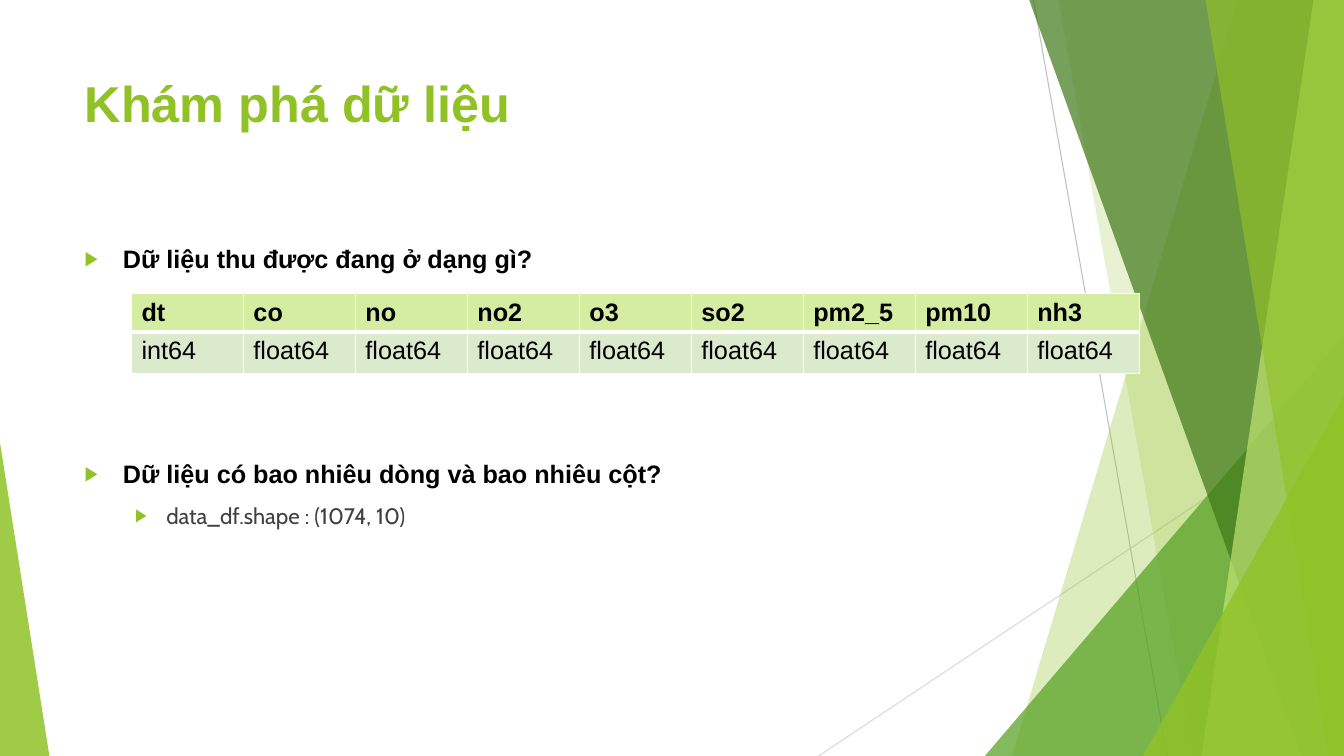
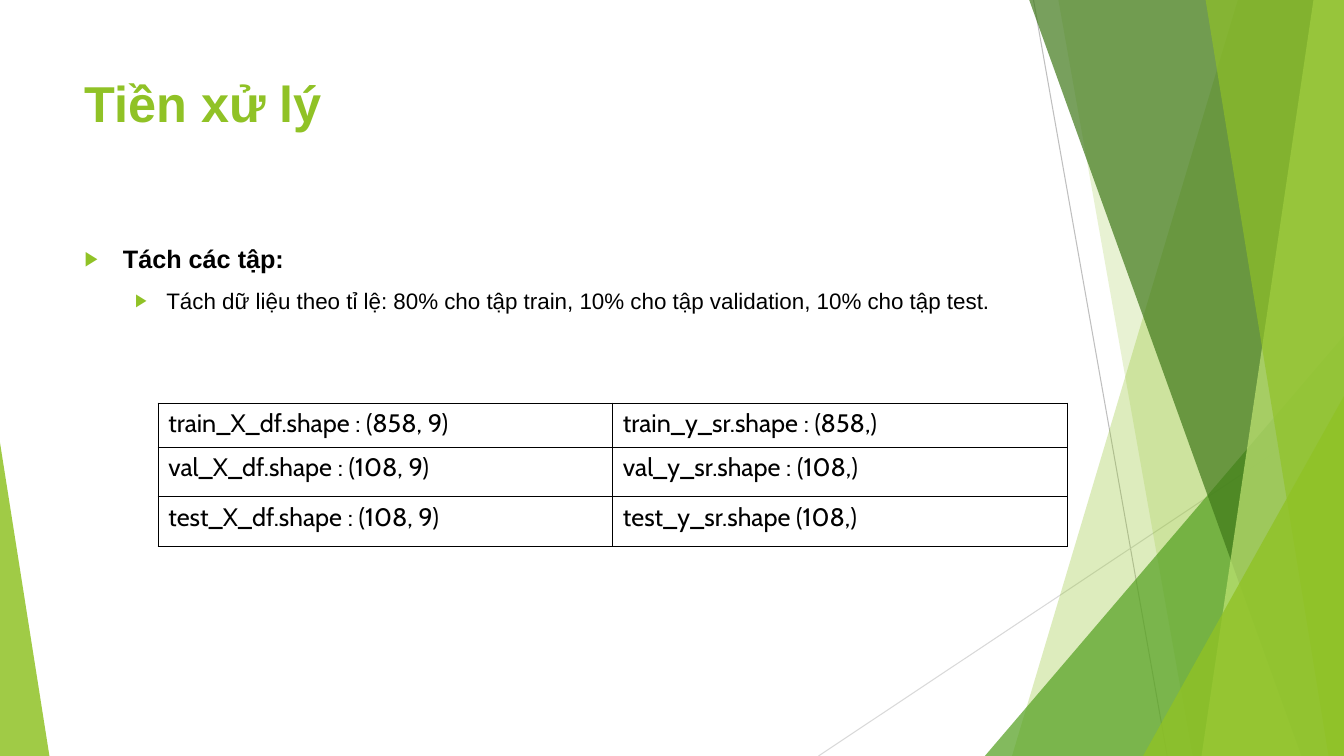
import dataclasses

import lxml.etree
import pptx
import pptx.dml.color
import pptx.enum.shapes
import pptx.enum.text
import pptx.oxml
import pptx.oxml.ns
import pptx.util

RGBColor = pptx.dml.color.RGBColor
Pt = pptx.util.Pt
Inches = pptx.util.Inches
qn = pptx.oxml.ns.qn

LIME = RGBColor(0x90, 0xC2, 0x26)
PALE_LIME = RGBColor(0xC0, 0xE4, 0x74)
GREEN = RGBColor(0x54, 0xA0, 0x21)
DARK_GREEN = RGBColor(0x3F, 0x78, 0x19)
HEADER_GREEN = RGBColor(0xD5, 0xED, 0xA2)
ROW_GREEN = RGBColor(0xDB, 0xE9, 0xCD)
SILVER = RGBColor(0xBF, 0xBF, 0xBF)
LIGHT_SILVER = RGBColor(0xD9, 0xD9, 0xD9)
CHARCOAL = RGBColor(0x40, 0x40, 0x40)
BLACK = RGBColor(0, 0, 0)
WHITE = RGBColor(0xFF, 0xFF, 0xFF)

HEADING_FONT = "Arial"
CODE_FONT = "Cabin"


@dataclasses.dataclass
class Box:
    left: int
    top: int
    width: int
    height: int

    def point(self, x, y):
        return (round(self.left + self.width * x / 100),
                round(self.top + self.height * y / 100))

    def area(self, left, top, width, height):
        return Box(*self.point(left, top),
                   round(self.width * width / 100),
                   round(self.height * height / 100))

    def edges(self):
        return self.left, self.top, self.width, self.height


def write(paragraph, text, size=18, font=HEADING_FONT, color=BLACK, bold=False):
    run = paragraph.add_run()
    run.text = text
    run.font.size = Pt(size)
    run.font.name = font
    run.font.color.rgb = color
    run.font.bold = bold


def add_child(parent, tag, **attributes):
    child = lxml.etree.SubElement(parent, qn(tag))
    for key, value in attributes.items():
        child.set(key, str(value))
    return child


def tint(shape, color, opacity):
    shape.shadow.inherit = False
    shape.fill.solid()
    shape.fill.fore_color.rgb = color
    shape.line.fill.background()
    add_child(shape.element.xpath(".//a:srgbClr")[0], "a:alpha", val=opacity * 1000)


def draw_ray(shapes, box, start, end, color):
    ray = shapes.add_connector(pptx.enum.shapes.MSO_CONNECTOR.STRAIGHT,
                               *box.point(*start), *box.point(*end))
    ray.line.color.rgb = color
    ray.line.width = Pt(0.75)
    add_child(ray.element.spPr, "a:effectLst")


def draw_band(shapes, box, top_x, bottom_x, color, opacity):
    corners = [box.point(*corner) for corner in
               ((top_x, 0), (100, 0), (100, 100), (bottom_x, 100))]
    outline = shapes.build_freeform(*corners[0], scale=1.0)
    outline.add_line_segments(corners[1:], close=True)
    tint(outline.convert_to_shape(), color, opacity)


def draw_peak(shapes, box, left, top, width, apex, color, opacity):
    peak = shapes.add_shape(pptx.enum.shapes.MSO_SHAPE.ISOSCELES_TRIANGLE,
                            *box.area(left, top, width, 100 - top).edges())
    peak.adjustments[0] = apex
    tint(peak, color, opacity)


def draw_facets(slide, box):
    shapes = slide.shapes
    content = {shape.shape_id for shape in shapes}
    draw_ray(shapes, box, (76.9, 0), (86.85, 100), SILVER)
    draw_ray(shapes, box, (100, 53.73), (60.9, 100), LIGHT_SILVER)
    draw_band(shapes, box, 92.1, 75.3, LIME, 30)
    draw_band(shapes, box, 78.75, 88.73, LIME, 20)
    draw_peak(shapes, box, 73.28, 44.4, 26.72, 1, GREEN, 72)
    draw_band(shapes, box, 76.58, 96.83, DARK_GREEN, 70)
    draw_band(shapes, box, 97.73, 89.4, PALE_LIME, 70)
    draw_band(shapes, box, 89.7, 98.85, LIME, 65)
    draw_peak(shapes, box, 85.05, 52.4, 14.95, 1, LIME, 80)
    draw_peak(shapes, box, 0, 58.53, 3.68, 0, LIME, 85)
    facets = [shape for shape in shapes if shape.shape_id not in content]
    layout_tree = slide.slide_layout.shapes.element
    for number, facet in enumerate(facets, 100):
        facet.element.xpath(".//p:cNvPr")[0].set("id", str(number))
        layout_tree.append(facet.element)


def fit(placeholder, box):
    placeholder.left, placeholder.top, placeholder.width, placeholder.height = box.edges()
    frame = placeholder.text_frame
    frame.auto_size = pptx.enum.text.MSO_AUTO_SIZE.NONE
    frame.vertical_anchor = pptx.enum.text.MSO_ANCHOR.TOP
    frame.word_wrap = True
    return frame


def add_title(slide, box, text):
    heading = fit(slide.shapes.title, box).paragraphs[0]
    heading.alignment = pptx.enum.text.PP_ALIGN.LEFT
    write(heading, text, size=36, color=LIME, bold=True)


def add_bullets(slide, box, bullets):
    frame = fit(slide.placeholders[1], box)
    for index, (level, gap, text, style) in enumerate(bullets):
        bullet = frame.add_paragraph() if index else frame.paragraphs[0]
        bullet.level = level
        bullet.space_before = Pt(gap)
        margin, hanging = ((0.38, 0.38), (0.81, 0.31))[level]
        properties = bullet._p.get_or_add_pPr()
        properties.set("marL", str(Inches(margin)))
        properties.set("indent", str(-Inches(hanging)))
        add_child(add_child(properties, "a:buClr"), "a:srgbClr", val=LIME)
        add_child(properties, "a:buSzPct", val=80000)
        add_child(properties, "a:buFont", typeface=HEADING_FONT)
        add_child(properties, "a:buChar", char="▶")
        write(bullet, text, **style)


def set_borders(cell, color, top, bottom):
    properties = cell._tc.get_or_add_tcPr()
    widths = {"a:lnL": 1, "a:lnR": 1, "a:lnT": top, "a:lnB": bottom}
    for index, (tag, width) in enumerate(widths.items()):
        border = add_child(properties, tag, w=Pt(width))
        add_child(add_child(border, "a:solidFill"), "a:srgbClr", val=color)
        properties.insert(index, border)


def add_grid(slide, box, rows, row_shares, fills, border, font, header=False):
    table = slide.shapes.add_table(len(rows), len(rows[0]), *box.edges()).table
    table.first_row = header
    table.horz_banding = False
    for column in table.columns:
        column.width = box.width // len(rows[0])
    for index, (values, share, fill) in enumerate(zip(rows, row_shares, fills)):
        heading = header and index == 0
        below_heading = header and index == 1
        table.rows[index].height = round(box.height * share / sum(row_shares))
        for cell, value in zip(table.rows[index].cells, values):
            cell.fill.solid()
            cell.fill.fore_color.rgb = fill
            set_borders(cell, border, 3 if below_heading else 1, 3 if heading else 1)
            write(cell.text_frame.paragraphs[0], value, font=font, bold=heading)


def add_content_slide(deck, page, title, bullets):
    slide = deck.slides.add_slide(deck.slide_layouts[1])
    add_title(slide, page.area(5.55, 8.93, 70.5, 19.2), title)
    add_bullets(slide, page.area(5.55, 31.47, 70.5, 56.53), bullets)
    return slide


def main():
    deck = pptx.Presentation()
    deck.slide_width, deck.slide_height = Inches(13.33), Inches(7.5)
    page = Box(0, 0, deck.slide_width, deck.slide_height)
    question = {"bold": True}
    code = {"size": 16, "font": CODE_FONT, "color": CHARCOAL}

    exploration = add_content_slide(deck, page, "Khám phá dữ liệu", [
        (0, 10, "Dữ liệu thu được đang ở dạng gì?", question),
        (0, 132, "Dữ liệu có bao nhiêu dòng và bao nhiêu cột?", question),
        (1, 10, "data_df.shape : (1074, 10)", code),
    ])
    draw_facets(exploration, page)
    fields = ["dt", "co", "no", "no2", "o3", "so2", "pm2_5", "pm10", "nh3"]
    data_types = ["int64"] + ["float64"] * (len(fields) - 1)
    add_grid(exploration, page.area(9.78, 38.8, 75, 10.6), [fields, data_types],
             (0.38, 0.41), (HEADER_GREEN, ROW_GREEN), WHITE, HEADING_FONT, header=True)

    preprocessing = add_content_slide(deck, page, "Tiền xử lý", [
        (0, 10, "Tách các tập:", question),
        (1, 10, "Tách dữ liệu theo tỉ lệ: 80% cho tập train, 10% cho tập validation, "
                "10% cho tập test.", {"size": 16}),
    ])
    splits = [
        ("train_X_df.shape : (858, 9)", "train_y_sr.shape : (858,)"),
        ("val_X_df.shape : (108, 9)", "val_y_sr.shape : (108,)"),
        ("test_X_df.shape : (108, 9)", "test_y_sr.shape (108,)"),
    ]
    add_grid(preprocessing, page.area(11.78, 53.33, 67.65, 18.93), splits,
             (0.44, 0.49, 0.49), [WHITE] * len(splits), BLACK, CODE_FONT)
    deck.save("out.pptx")


main()
